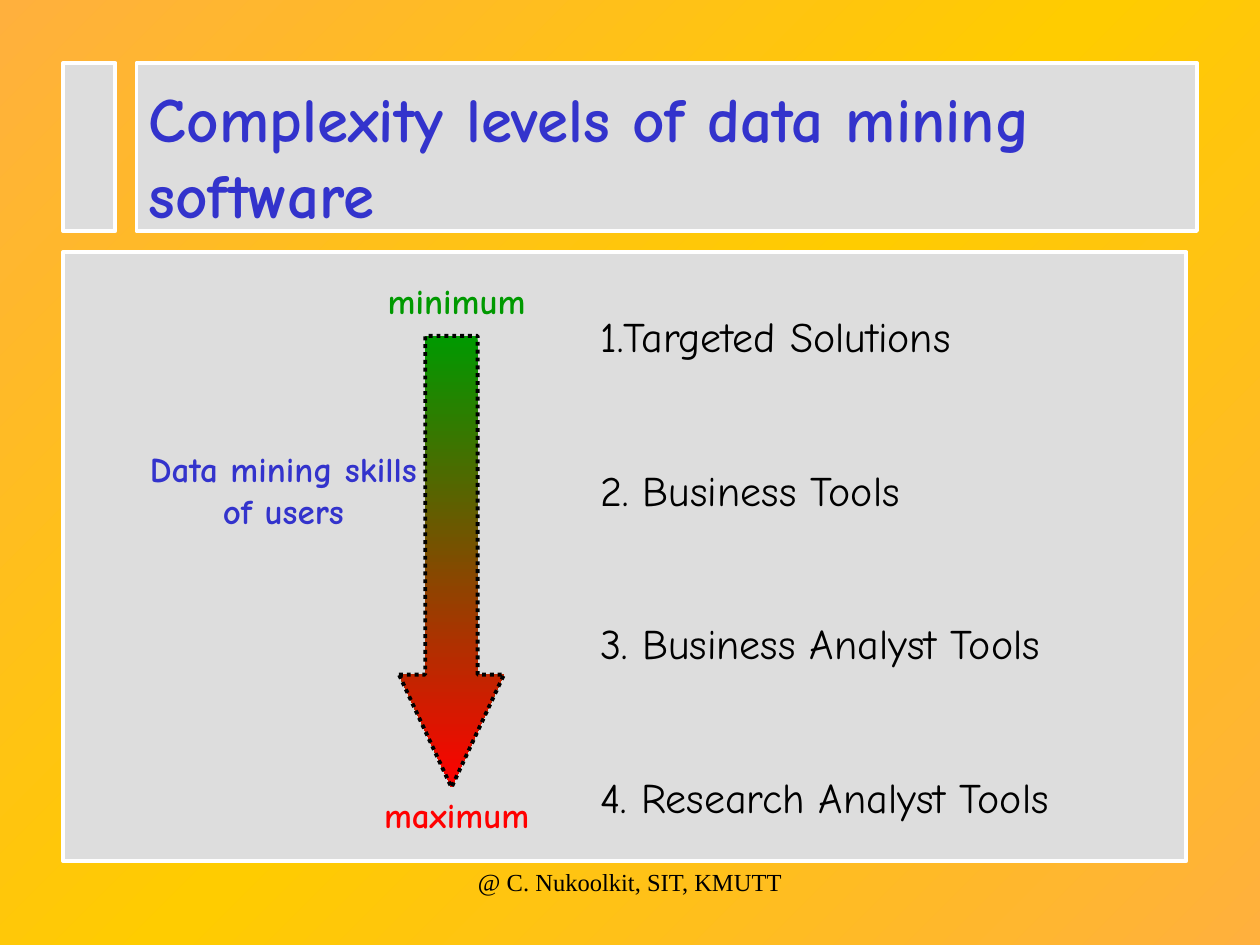
from copy import deepcopy
from dataclasses import dataclass

from pptx import Presentation
from pptx.dml.color import RGBColor as Rgb
from pptx.enum.dml import MSO_LINE as Dash
from pptx.enum.shapes import MSO_SHAPE as Kind
from pptx.enum.text import PP_ALIGN as Align
from pptx.oxml.ns import qn
from pptx.util import Inches, Pt


@dataclass(frozen=True)
class Theme:
    amber: str = "FFB03D"
    gold: str = "FFCC00"
    panel: str = "DDDDDD"
    white: str = "FFFFFF"
    black: str = "000000"
    blue: str = "3333CC"
    green: str = "009900"
    red: str = "FF0000"
    hand: str = "Comic Neue"
    serif: str = "Times New Roman"
    title: int = 36
    item: int = 24
    label: int = 20
    foot: int = 14
    edge: float = 2.25
    gap: float = 58.9


class Deck:
    def __init__(self, theme, cols=120, rows=90):
        self.theme = theme
        self.file = Presentation()
        self.file.slide_width, self.file.slide_height = Inches(10), Inches(7.5)
        self.cell = self.file.slide_width / cols, self.file.slide_height / rows
        self.slide = self.file.slides.add_slide(self.file.slide_layouts[6])

    def place(self, *grid):
        return [round(n * unit) for n, unit in zip(grid, self.cell * 2)]

    def grade(self, fill, root, angle, tints):
        fill.gradient()
        fill.gradient_angle = angle
        stops = root.find(".//" + qn("a:gsLst"))
        while len(stops) < len(tints):
            stops.append(deepcopy(stops[0]))
        for i, (stop, tint) in enumerate(zip(fill.gradient_stops, tints)):
            stop.position = i / (len(tints) - 1)
            stop.color.rgb = Rgb.from_string(tint)

    def back(self, angle, *tints):
        self.grade(self.slide.background.fill, self.slide.element, angle, tints)

    def shape(self, kind, grid, edge):
        shape = self.slide.shapes.add_shape(kind, *self.place(*grid))
        shape.shadow.inherit = False
        shape.line.color.rgb = Rgb.from_string(edge)
        shape.line.width = Pt(self.theme.edge)
        return shape

    def panel(self, *grid):
        fill = self.shape(Kind.RECTANGLE, grid, self.theme.white).fill
        fill.solid()
        fill.fore_color.rgb = Rgb.from_string(self.theme.panel)

    def arrow(self, grid, *tints):
        arrow = self.shape(Kind.DOWN_ARROW, grid, self.theme.black)
        arrow.adjustments[0], arrow.adjustments[1] = 0.5, 1.075
        arrow.line.dash_style = Dash.ROUND_DOT
        self.grade(arrow.fill, arrow.element, 270, tints)

    def text(self, grid, lines, size, tint, font=None, bold=False, align=Align.LEFT):
        frame = self.slide.shapes.add_textbox(*self.place(*grid)).text_frame
        frame.word_wrap = True
        frame.text = "\n".join(lines)
        for i, para in enumerate(frame.paragraphs):
            para.alignment = align
            if i:
                para.space_before = Pt(self.theme.gap)
            para.font.name = font or self.theme.hand
            para.font.size = Pt(size)
            para.font.bold = bold
            para.font.color.rgb = Rgb.from_string(tint)

    def label(self, grid, words, tint):
        self.text(grid, [words], self.theme.label, tint, bold=True, align=Align.CENTER)


def main():
    look = Theme()
    deck = Deck(look)
    deck.back(135, look.amber, look.gold, look.amber)
    deck.panel(13, 6, 101, 16)
    deck.panel(6, 24, 107, 58)
    deck.panel(6, 6, 5, 16)
    deck.text((13, 7, 102, 15.6), ["Complexity levels of data mining software"],
              look.title, look.blue, bold=True)
    deck.text((56, 29, 56, 49.8),
              ["1.Targeted Solutions", "2. Business Tools",
               "3. Business Analyst Tools", "4. Research Analyst Tools"],
              look.item, look.black)
    deck.label((12, 42, 30, 9.2), "Data mining skills of users", look.blue)
    deck.label((31, 26, 25, 5.3), "minimum", look.green)
    deck.label((31, 75, 25, 5.3), "maximum", look.red)
    deck.arrow((38, 32, 10, 43), look.green, look.red)
    deck.text((41, 82, 38, 6), ["@ C. Nukoolkit, SIT, KMUTT"],
              look.foot, look.black, font=look.serif, align=Align.CENTER)
    deck.file.save("out.pptx")


if __name__ == "__main__":
    main()
